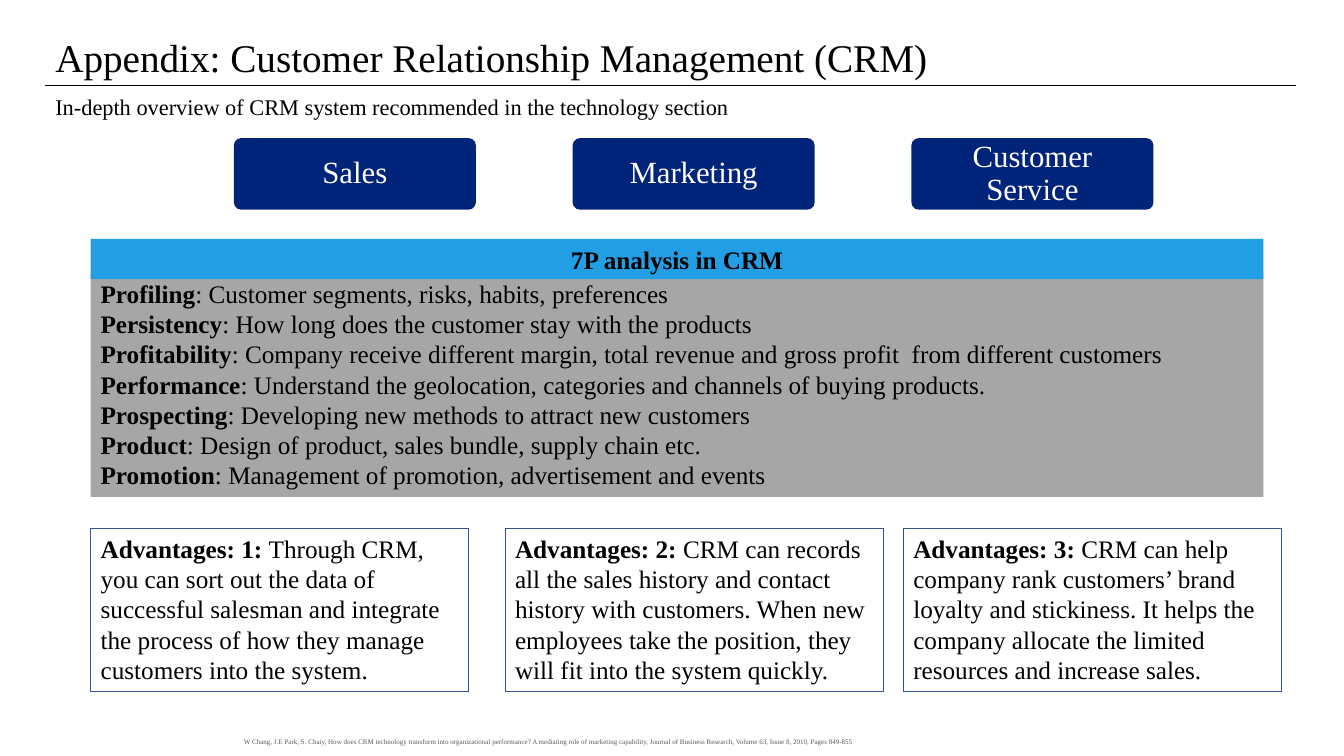
from dataclasses import dataclass

from lxml import etree
from pptx import Presentation
from pptx.dml.color import RGBColor
from pptx.enum.shapes import MSO_CONNECTOR, MSO_SHAPE
from pptx.enum.text import MSO_ANCHOR, PP_ALIGN
from pptx.oxml.ns import qn
from pptx.util import Inches, Pt

RECT, ROUNDED = MSO_SHAPE.RECTANGLE, MSO_SHAPE.ROUNDED_RECTANGLE
TOP, MIDDLE = MSO_ANCHOR.TOP, MSO_ANCHOR.MIDDLE
LEFT, CENTER = PP_ALIGN.LEFT, PP_ALIGN.CENTER

TITLE = "Appendix: Customer Relationship Management (CRM)"
SUBTITLE = "In-depth overview of CRM system recommended in the technology section"
FUNCTIONS = ["Sales", "Marketing", "Customer Service"]
ANALYSIS_HEADING = "7P analysis in CRM"
SEVEN_PS = [
    ("Profiling", "Customer segments, risks, habits, preferences"),
    ("Persistency", "How long does the customer stay with the products"),
    ("Profitability", "Company receive different margin, total revenue and gross profit  from different customers"),
    ("Performance", "Understand the geolocation, categories and channels of buying products."),
    ("Prospecting", "Developing new methods to attract new customers"),
    ("Product", "Design of product, sales bundle, supply chain etc."),
    ("Promotion", "Management of promotion, advertisement and events"),
]
ADVANTAGES = [
    "Through CRM, you can sort out the data of successful salesman and integrate "
    "the process of how they manage customers into the system.",
    "CRM can records all the sales history and contact history with customers. "
    "When new employees take the position, they will fit into the system quickly.",
    "CRM can help company rank customers’ brand loyalty and stickiness. "
    "It helps the company allocate the limited resources and increase sales.",
]
CITATION = (
    "W Chang, J.E Park, S. Chaiy, How does CRM technology transform into organizational performance? "
    "A mediating role of marketing capability, Journal of Business Research, "
    "Volume 63, Issue 8, 2010, Pages 849-855"
)


@dataclass(frozen=True)
class Theme:
    font: str = "Times New Roman"
    ink: str = "000000"
    white: str = "FFFFFF"
    muted: str = "595959"
    navy: str = "01247B"
    sky: str = "229FE4"
    grey: str = "A6A6A6"
    outline: str = "325491"
    title: int = 28
    function: int = 22
    body: int = 18
    subtitle: int = 16
    citation: int = 5


THEME = Theme()
WIDTH, HEIGHT = 13.33, 7.5
MARGIN = 0.45
CONTENT_LEFT = 2 * MARGIN
FUNCTION_LEFT, FUNCTION_STEP = 2.32, 3.36
ADVANTAGE_COLUMNS = (CONTENT_LEFT, 5.01, 8.96)


def write(frame, paragraphs, size, color=THEME.ink, align=LEFT, anchor=TOP, spacing=None):
    frame.word_wrap = True
    frame.vertical_anchor = anchor
    for index, runs in enumerate(paragraphs):
        paragraph = frame.paragraphs[0] if index == 0 else frame.add_paragraph()
        paragraph.alignment = align
        if spacing:
            paragraph.line_spacing = spacing
        for text, bold in runs:
            run = paragraph.add_run()
            run.text = text
            for attribute, value in {"name": THEME.font, "size": Pt(size), "bold": bold}.items():
                setattr(run.font, attribute, value)
            run.font.color.rgb = RGBColor.from_string(color)


def add_box(slide, box, kind=RECT, fill=None, outline=None):
    shape = slide.shapes.add_shape(kind, *map(Inches, box))
    shape.shadow.inherit = False
    if fill:
        shape.fill.solid()
        shape.fill.fore_color.rgb = RGBColor.from_string(fill)
    else:
        shape.fill.background()
    if outline:
        shape.line.color.rgb = RGBColor.from_string(outline)
        shape.line.width = Pt(0.75)
    else:
        shape.line.fill.background()
    return shape


def add_label(slide, box, text, size, color=THEME.ink):
    label = slide.shapes.add_textbox(*map(Inches, box))
    write(label.text_frame, [[(text, False)]], size, color)


def add_header(slide):
    rule = slide.shapes.add_connector(
        MSO_CONNECTOR.STRAIGHT, *map(Inches, (MARGIN, 0.85, 12.85, 0.85)))
    rule.line.color.rgb = RGBColor.from_string(THEME.ink)
    rule.line.width = Pt(0.5)
    etree.SubElement(rule._element.spPr, qn("a:effectLst"))
    add_label(slide, (MARGIN, 0.28, 9.09, 0.57), TITLE, THEME.title)
    add_label(slide, (MARGIN, 0.87, 7.35, 0.37), SUBTITLE, THEME.subtitle)


def add_functions(slide):
    for column, function in enumerate(FUNCTIONS):
        left = FUNCTION_LEFT + column * FUNCTION_STEP
        button = add_box(slide, (left, 1.37, 2.4, 0.71), ROUNDED, THEME.navy)
        button.adjustments[0] = 0.1
        for side in ("left", "right", "top", "bottom"):
            setattr(button.text_frame, f"margin_{side}", Inches(0.11))
        write(button.text_frame, [[(function, False)]], THEME.function,
              THEME.white, CENTER, MIDDLE, 0.9)


def add_analysis(slide):
    panel = add_box(slide, (CONTENT_LEFT, 2.71, 11.63, 2.22), fill=THEME.grey)
    write(panel.text_frame, [[(name, True), (f": {detail}", False)] for name, detail in SEVEN_PS],
          THEME.body)
    heading = add_box(slide, (CONTENT_LEFT, 2.37, 11.63, 0.4), fill=THEME.sky)
    write(heading.text_frame, [[(ANALYSIS_HEADING, True)]], THEME.body, align=CENTER)


def add_advantages(slide):
    for number, (left, advantage) in enumerate(zip(ADVANTAGE_COLUMNS, ADVANTAGES), 1):
        card = add_box(slide, (left, 5.24, 3.75, 1.62), outline=THEME.outline)
        write(card.text_frame, [[(f"Advantages: {number}: ", True), (advantage, False)]], THEME.body)


def main():
    deck = Presentation()
    deck.slide_width, deck.slide_height = Inches(WIDTH), Inches(HEIGHT)
    slide = deck.slides.add_slide(deck.slide_layouts[6])
    add_header(slide)
    add_analysis(slide)
    add_functions(slide)
    add_advantages(slide)
    add_label(slide, (FUNCTION_LEFT, 7.27, WIDTH - FUNCTION_LEFT, 0.19), CITATION,
              THEME.citation, THEME.muted)
    deck.save("out.pptx")


if __name__ == "__main__":
    main()
